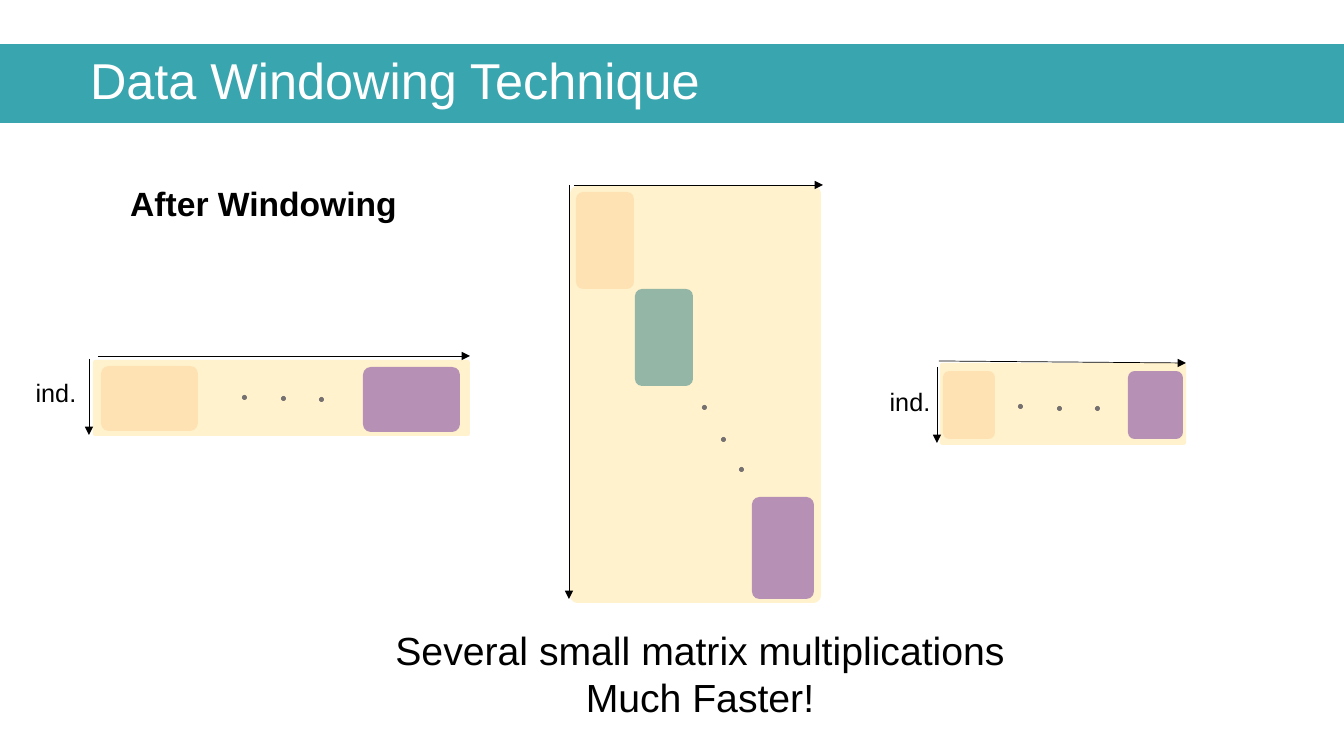
from collections import namedtuple
from dataclasses import dataclass

from lxml.etree import SubElement
from pptx import Presentation
from pptx.dml.color import RGBColor
from pptx.enum.shapes import MSO_CONNECTOR, MSO_SHAPE
from pptx.enum.text import MSO_ANCHOR, MSO_AUTO_SIZE, PP_ALIGN
from pptx.oxml.ns import qn
from pptx.util import Emu, Pt

SCALE = 914400 / 100.8  # EMU in one px
DOT = 5  # diameter in px

Box = namedtuple("Box", "left top width height")
Paint = namedtuple("Paint", "color opacity", defaults=(100,))


@dataclass(frozen=True)
class Theme:
    font: str = "Arial"
    title_size: int = 36
    caption_size: int = 28
    heading_size: int = 24
    label_size: int = 18
    arrow_width: float = 0.5
    text: str = "000000"
    title_text: str = "FFFFFF"
    band: Paint = Paint("39A5AE")
    matrix: Paint = Paint("FFC000", 20)
    peach: Paint = Paint("FEDCA9", 70)
    teal: Paint = Paint("2B7C83", 50)
    purple: Paint = Paint("7030A0", 50)
    dot: Paint = Paint("767171")


THEME = Theme()


def px(length):
    return Emu(round(length * SCALE))


def inside(box, left, top, width, height):
    return Box(box.left + left, box.top + top, width, height)


def add_filled(slide, kind, box, paint, corner=None):
    shape = slide.shapes.add_shape(kind, *map(px, box))
    shape.shadow.inherit = False
    shape.line.fill.background()
    shape.fill.solid()
    shape.fill.fore_color.rgb = RGBColor.from_string(paint.color)
    if paint.opacity < 100:
        color = shape.element.spPr.find(f"{qn('a:solidFill')}/{qn('a:srgbClr')}")
        SubElement(color, qn("a:alpha"), val=str(paint.opacity * 1000))
    if corner is not None:
        shape.adjustments[0] = corner


def add_arrow(slide, box, start, end):
    points = (box.left + start[0], box.top + start[1],
              box.left + end[0], box.top + end[1])
    arrow = slide.shapes.add_connector(MSO_CONNECTOR.STRAIGHT, *map(px, points))
    arrow.line.color.rgb = RGBColor.from_string(THEME.text)
    arrow.line.width = Pt(THEME.arrow_width)
    SubElement(arrow.line._get_or_add_ln(), qn("a:tailEnd"), type="triangle")
    SubElement(arrow.element.spPr, qn("a:effectLst"))


def format_text(frame, size, color, bold=False, align=PP_ALIGN.CENTER):
    frame.word_wrap = True
    frame.auto_size = MSO_AUTO_SIZE.NONE
    for paragraph in frame.paragraphs:
        paragraph.alignment = align
        for run in paragraph.runs:
            run.font.name = THEME.font
            run.font.size = Pt(size)
            run.font.bold = bold
            run.font.color.rgb = RGBColor.from_string(color)


def add_text(slide, box, text, size, bold=False, anchor=MSO_ANCHOR.TOP):
    frame = slide.shapes.add_textbox(*map(px, box)).text_frame
    frame.text = text
    frame.vertical_anchor = anchor
    format_text(frame, size, THEME.text, bold)


def add_title_band(slide, box, text):
    add_filled(slide, MSO_SHAPE.RECTANGLE, box, THEME.band)
    title = slide.shapes.title
    title.left, title.top, title.width, title.height = map(
        px, inside(box, 80, 0, 1200, box.height))
    frame = title.text_frame
    frame.text = text
    frame.vertical_anchor = MSO_ANCHOR.MIDDLE
    frame.paragraphs[0].line_spacing = 0.9
    format_text(frame, THEME.title_size, THEME.title_text, align=PP_ALIGN.LEFT)
    # Bring the title in front of its band
    title.element.getparent().append(title.element)


def add_matrix(slide, box, blocks, dots, arrows, label=None):
    """Draw a matrix; all parts are placed relative to its box."""
    add_filled(slide, MSO_SHAPE.ROUNDED_RECTANGLE, box, THEME.matrix, 0.03)
    for place, paint in blocks:
        add_filled(slide, MSO_SHAPE.ROUNDED_RECTANGLE, inside(box, *place), paint, 0.12)
    for left, top in dots:
        add_filled(slide, MSO_SHAPE.OVAL, inside(box, left, top, DOT, DOT), THEME.dot)
    for start, end in arrows:
        add_arrow(slide, box, start, end)
    if label:
        add_text(slide, inside(box, *label, 80, 92), "ind.", THEME.label_size,
                 anchor=MSO_ANCHOR.MIDDLE)


def build_windowing_slide(slide):
    add_title_band(slide, Box(0, 44, 1344, 79), "Data Windowing Technique")
    add_text(slide, Box(79, 178, 369, 50), "After Windowing", THEME.heading_size, bold=True)

    # Wide matrix on the left
    add_matrix(
        slide, Box(93, 360, 377, 76),
        blocks=[((8, 6, 97, 65), THEME.peach), ((270, 7, 97, 65), THEME.purple)],
        dots=[(149, 35), (188, 36), (226, 37)],
        arrows=[((5, -4), (377, -4)), ((-4, -1), (-4, 75))],
        label=(-77, -14))

    # Block-diagonal matrix in the middle
    add_matrix(
        slide, Box(570, 186, 251, 417),
        blocks=[((6, 6, 58, 97), THEME.peach), ((65, 103, 58, 97), THEME.teal),
                ((182, 311, 62, 102), THEME.purple)],
        dots=[(132, 219), (151, 251), (169, 281)],
        arrows=[((4, -1), (253, -1)), ((-1, -1), (-1, 413))])

    # Small matrix on the right
    add_matrix(
        slide, Box(940, 363, 246, 82),
        blocks=[((3, 8, 52, 68), THEME.peach), ((188, 8, 55, 68), THEME.purple)],
        dots=[(78, 41), (117, 43), (155, 43)],
        arrows=[((-1, -2), (246, 0)), ((-3, 4), (-3, 80))],
        label=(-70, -8))

    # Conclusion
    add_text(slide, Box(56, 621, 1288, 108),
             "Several small matrix multiplications\nMuch Faster!", THEME.caption_size)


def main():
    presentation = Presentation()
    presentation.slide_width, presentation.slide_height = px(1344), px(756)
    slide = presentation.slides.add_slide(presentation.slide_layouts[5])
    build_windowing_slide(slide)
    presentation.save("out.pptx")


if __name__ == "__main__":
    main()
